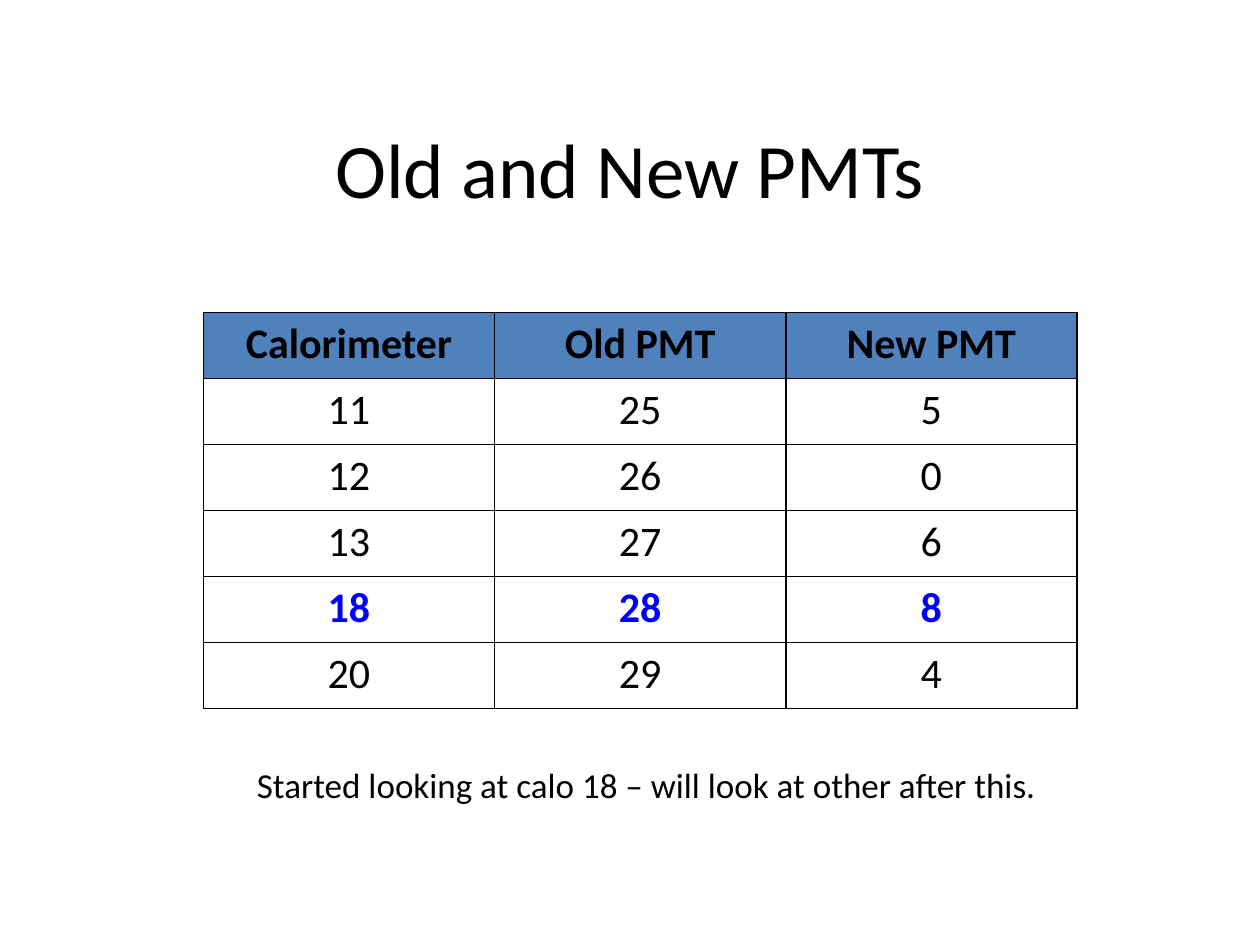
from lxml.etree import SubElement
from pptx import Presentation
from pptx.dml.color import RGBColor
from pptx.enum.text import MSO_ANCHOR, MSO_AUTO_SIZE, PP_ALIGN
from pptx.oxml.ns import qn
from pptx.util import Cm, Pt

BLACK, BLUE, HEADER = "000000", "0000FF", "4F81BD"
ROWS = [
    ("Calorimeter", "Old PMT", "New PMT"),
    ("11", "25", "5"),
    ("12", "26", "0"),
    ("13", "27", "6"),
    ("18", "28", "8"),
    ("20", "29", "4"),
]
CURRENT = "18"


def rgb(value):
    """Return the colour for a hex string."""
    return RGBColor.from_string(value)


def write(tf, text, size, color=BLACK, bold=False, align=PP_ALIGN.CENTER):
    """Put one formatted paragraph into a text frame."""
    p = tf.paragraphs[0]
    p.text = text
    p.alignment = align
    p.font.name = "Calibri"
    p.font.size = Pt(size)
    p.font.bold = bold
    p.font.color.rgb = rgb(color)


def add_text(s, box, text, size, align=PP_ALIGN.CENTER, wrap=True):
    """Add a text box and return its text frame."""
    tf = s.shapes.add_textbox(*map(Cm, box)).text_frame
    tf.word_wrap = wrap
    write(tf, text, size, align=align)
    return tf


def set_borders(cell, color, width):
    """Draw a solid line on all four sides of a cell."""
    tcPr = cell._tc.get_or_add_tcPr()
    for i, side in enumerate(("a:lnL", "a:lnR", "a:lnT", "a:lnB")):
        ln = tcPr.makeelement(qn(side), {"w": str(Pt(width))})
        fill = SubElement(ln, qn("a:solidFill"))
        SubElement(fill, qn("a:srgbClr"), val=color)
        tcPr.insert(i, ln)


def add_pmt_table(s, left, top, col_width, row_height):
    """Add the table of old and new PMTs per calorimeter."""
    n, m = len(ROWS), len(ROWS[0])
    table = s.shapes.add_table(
        n, m, Cm(left), Cm(top), Cm(m * col_width), Cm(n * row_height)
    ).table
    table.horz_banding = False
    for i, row in enumerate(ROWS):
        header, current = i == 0, row[0] == CURRENT
        for j, text in enumerate(row):
            cell = table.cell(i, j)
            if header:
                cell.fill.solid()
                cell.fill.fore_color.rgb = rgb(HEADER)
            else:
                cell.fill.background()
            set_borders(cell, BLACK, 1)
            write(cell.text_frame, text, 24, BLUE if current else BLACK,
                  header or current)


def main():
    """Build and save the slide."""
    prs = Presentation()
    prs.slide_width, prs.slide_height = Cm(25.4), Cm(19.05)
    s = prs.slides.add_slide(prs.slide_layouts[6])
    title = add_text(s, (1.9, 1.35, 21.6, 4.08), "Old and New PMTs", 44)
    title.vertical_anchor = MSO_ANCHOR.MIDDLE
    add_pmt_table(s, 4.1, 6.3, 5.87, 1.33)
    note = add_text(s, (4.93, 15.27, 16.38, 1.11),
                    "Started looking at calo 18 – will look at other after this.",
                    20, PP_ALIGN.LEFT, wrap=False)
    note.auto_size = MSO_AUTO_SIZE.SHAPE_TO_FIT_TEXT
    prs.save("out.pptx")


if __name__ == "__main__":
    main()
